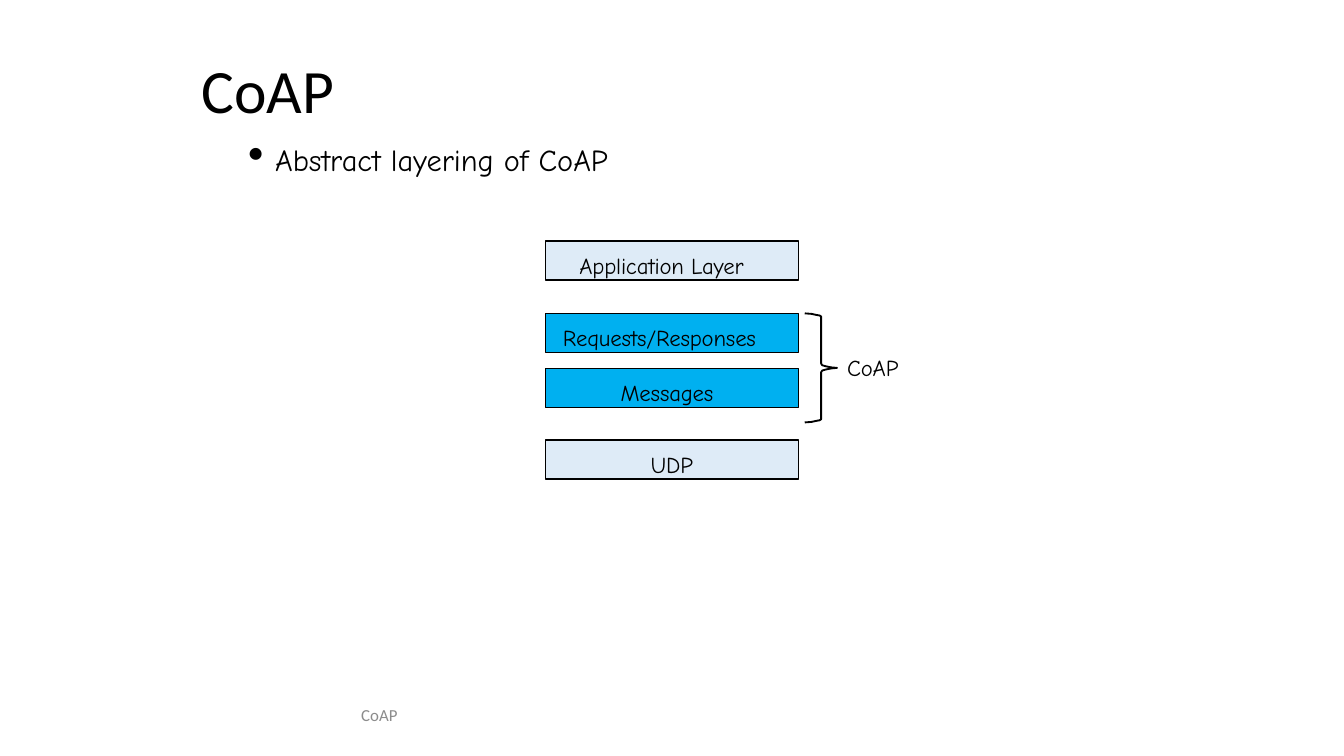
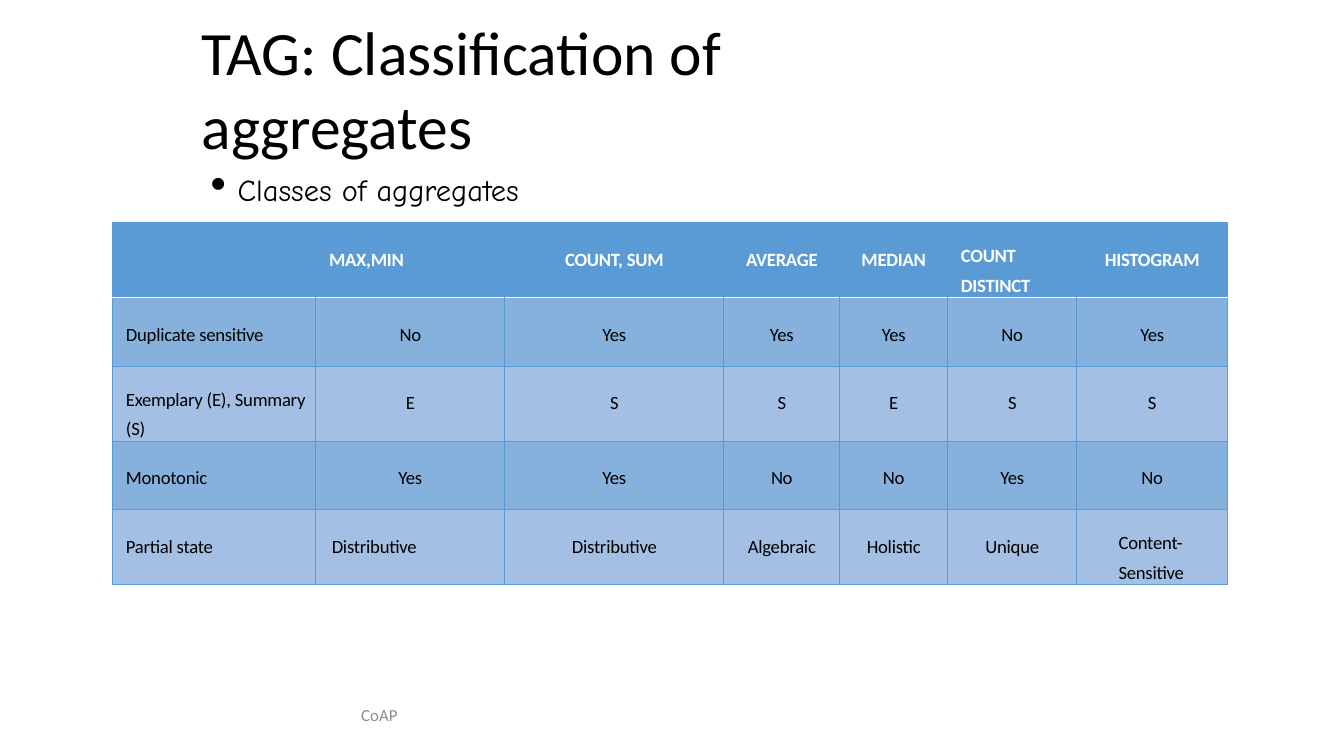
from pptx import Presentation
from pptx.dml.color import RGBColor
from pptx.enum.shapes import MSO_SHAPE
from pptx.enum.text import MSO_ANCHOR, MSO_AUTO_SIZE, PP_ALIGN
from pptx.oxml.ns import qn
from pptx.util import Cm, Pt
from lxml import etree

LEFT = PP_ALIGN.LEFT
CENTER = PP_ALIGN.CENTER
TOP = MSO_ANCHOR.TOP
MIDDLE = MSO_ANCHOR.MIDDLE
NO_AUTOFIT = MSO_AUTO_SIZE.NONE
RECTANGLE = MSO_SHAPE.RECTANGLE
TITLE_ONLY = 5

COLORS = {
    "text": "000000",
    "footer": "8C8C8C",
    "pale": "DEEBF7",
    "bright": "00B0F0",
    "header": "5B9BD5",
    "white": "FFFFFF",
    "band_dark": "86B1DD",
    "band_light": "A3C0E4",
}
BODY_FONT = "Calibri"
HAND_FONT = "Comic Neue"

LAYERS = [
    ("Application Layer", 0, "pale", 0.64),
    ("Requests/Responses", 1.37, "bright", 0.33),
    ("Messages", 2.41, "bright", 1.42),
    ("UDP", 3.76, "pale", None),
]
BRACE_HALF = [
    (0, 0), (0.13, 0.01), (0.22, 0.03), (0.28, 0.04), (0.31, 0.06),
    (0.31, 0.95), (0.33, 0.98), (0.4, 1), (0.5, 1.02), (0.61, 1.03),
]
BRACE_HEIGHT = 2.06

AGGREGATES = [
    ["", "MAX,MIN", "COUNT, SUM", "AVERAGE", "MEDIAN", "COUNT DISTINCT", "HISTOGRAM"],
    ["Duplicate sensitive", "No", "Yes", "Yes", "Yes", "No", "Yes"],
    ["Exemplary (E), Summary (S)", "E", "S", "S", "E", "S", "S"],
    ["Monotonic", "Yes", "Yes", "No", "No", "Yes", "No"],
    ["Partial state", "Distributive", "Distributive", "Algebraic", "Holistic",
     "Unique", "Content- Sensitive"],
]
COLUMN_WIDTHS = [3.84, 3.57, 4.14, 2.19, 2.04, 2.44, 2.85]
ROW_HEIGHTS = [1.41, 1.3, 1.41, 1.3, 1.41]
CELL_INDENTS = {(0, 1): 0.25, (0, 5): 0.25, (4, 1): 0.3, (4, 6): 0.79}
TWO_LINE_CELLS = {(0, 5), (2, 0), (4, 6)}


def color(name):
    return RGBColor.from_string(COLORS[name])


def write_text(frame, text, font=HAND_FONT, size=12.2, ink="text", bold=False,
               align=LEFT, indent=0.0, hanging=0.0, bullet=None,
               line_points=None, spacing=0.0):
    frame.word_wrap = True
    paragraph = frame.paragraphs[0]
    paragraph.alignment = align
    paragraph.space_before = Pt(0)
    if line_points:
        paragraph.line_spacing = Pt(line_points)
    properties = paragraph._p.get_or_add_pPr()
    properties.set("marL", str(Cm(indent)))
    properties.set("indent", str(Cm(hanging)))
    if bullet:
        etree.SubElement(properties, qn("a:buSzPct")).set("val", "150000")
        etree.SubElement(properties, qn("a:buChar")).set("char", bullet)
        tabs = etree.SubElement(properties, qn("a:tabLst"))
        etree.SubElement(tabs, qn("a:tab"), pos=str(Cm(indent)), algn="l")
    run = paragraph.add_run()
    run.text = text
    run.font.name = font
    run.font.size = Pt(size)
    run.font.bold = bold
    run.font.color.rgb = color(ink)
    if spacing:
        run._r.get_or_add_rPr().set("spc", str(round(spacing * 100)))


def set_frame(frame, top_inset, anchor=TOP):
    frame.auto_size = NO_AUTOFIT
    frame.vertical_anchor = anchor
    frame.margin_left = frame.margin_right = frame.margin_bottom = 0
    frame.margin_top = Cm(top_inset)


def add_label(slide, text, left, top, width, height, inset=0.03, anchor=TOP, **style):
    box = slide.shapes.add_textbox(Cm(left), Cm(top), Cm(width), Cm(height))
    set_frame(box.text_frame, inset, anchor)
    write_text(box.text_frame, text, **style)


def add_bullet(slide, text, left, top, width):
    add_label(slide, text, left, top, width, 0.71, size=16.3,
              indent=0.53, hanging=-0.51, bullet="•")


def start_slide(presentation, title, top, height):
    slide = presentation.slides.add_slide(presentation.slide_layouts[TITLE_ONLY])
    shape = slide.shapes.title
    shape.left, shape.top = Cm(3.78), Cm(top)
    shape.width, shape.height = Cm(14.91), Cm(height)
    set_frame(shape.text_frame, 0.43, MIDDLE)
    write_text(shape.text_frame, title, font=BODY_FONT, size=33, indent=0.03)
    add_label(slide, "CoAP", 4.67, 13.08, 5, 0.81, inset=0.05, anchor=MIDDLE,
              font=BODY_FONT, size=9, ink="footer", align=CENTER)
    return slide


def add_layer(slide, text, left, top, fill, indent):
    shape = slide.shapes.add_shape(RECTANGLE, Cm(left), Cm(top), Cm(4.78), Cm(0.74))
    shape.shadow.inherit = False
    shape.fill.solid()
    shape.fill.fore_color.rgb = color(fill)
    shape.line.color.rgb = color("text")
    shape.line.width = Pt(0.75)
    set_frame(shape.text_frame, 0.2)
    write_text(shape.text_frame, text, align=CENTER if indent is None else LEFT,
               indent=indent or 0, spacing=-0.1)


def add_brace(slide, left, top):
    lower_half = [(x, BRACE_HEIGHT - y) for x, y in reversed(BRACE_HALF[:-1])]
    points = [(Cm(x), Cm(y)) for x, y in BRACE_HALF + lower_half]
    builder = slide.shapes.build_freeform(*points[0])
    builder.add_line_segments(points[1:], close=False)
    brace = builder.convert_to_shape(Cm(left), Cm(top))
    brace.shadow.inherit = False
    brace.fill.background()
    brace.line.color.rgb = color("text")
    brace.line.width = Pt(1)


def add_layer_stack(slide, left, top):
    for text, offset, fill, indent in LAYERS:
        add_layer(slide, text, left, top + offset, fill, indent)
    brace_top = top + LAYERS[1][1]
    add_brace(slide, left + 4.9, brace_top)
    add_label(slide, "CoAP", left + 5.67, brace_top + 0.73, 1.07, 0.56,
              indent=0.03, spacing=-0.1)


def set_border(cell, side, name, points):
    properties = cell._tc.get_or_add_tcPr()
    line = etree.SubElement(properties, qn(f"a:ln{side}"), w=str(Pt(points)))
    if name is None:
        etree.SubElement(line, qn("a:noFill"))
    else:
        fill = etree.SubElement(line, qn("a:solidFill"))
        etree.SubElement(fill, qn("a:srgbClr"), val=COLORS[name])


def format_cell(cell, text, row, column):
    is_header = row == 0
    last_column = len(COLUMN_WIDTHS) - 1
    for side, outer in (("L", column == 0), ("R", column == last_column)):
        set_border(cell, side, "header" if outer or not is_header else None, 0.5)
    set_border(cell, "T", *(("white", 1) if row == 1 else ("header", 0.5)))
    set_border(cell, "B", *(("white", 1) if is_header else ("header", 0.5)))
    cell.fill.solid()
    band = "band_dark" if row % 2 else "band_light"
    cell.fill.fore_color.rgb = color("header" if is_header else band)
    cell.margin_left = cell.margin_right = cell.margin_bottom = 0
    two_lines = (row, column) in TWO_LINE_CELLS
    cell.margin_top = Cm(0.28 if two_lines else 0.49)
    if text:
        indent = CELL_INDENTS.get((row, column), 0 if column else 0.25)
        write_text(cell.text_frame, text, font=BODY_FONT, size=10, bold=is_header,
                   ink="white" if is_header else "text",
                   align=LEFT if indent else CENTER, indent=indent,
                   line_points=16 if two_lines else None, spacing=-0.1)


def add_aggregate_table(slide, left, top):
    table = slide.shapes.add_table(
        len(ROW_HEIGHTS), len(COLUMN_WIDTHS), Cm(left), Cm(top),
        Cm(sum(COLUMN_WIDTHS)), Cm(sum(ROW_HEIGHTS))).table
    table.horz_banding = False
    for column, width in zip(table.columns, COLUMN_WIDTHS):
        column.width = Cm(width)
    for row, height in zip(table.rows, ROW_HEIGHTS):
        row.height = Cm(height)
    for row, texts in enumerate(AGGREGATES):
        for column, text in enumerate(texts):
            format_cell(table.cell(row, column), text, row, column)


def build_layering_slide(presentation):
    slide = start_slide(presentation, "CoAP", 0.53, 1.85)
    add_bullet(slide, "Abstract layering of CoAP", 4.67, 2.64, 7.59)
    add_layer_stack(slide, 10.31, 4.55)


def build_aggregates_slide(presentation):
    slide = start_slide(presentation, "TAG: Classification of aggregates", -0.18, 3.25)
    add_bullet(slide, "Classes of aggregates", 3.96, 3.2, 6.43)
    add_aggregate_table(slide, 2.13, 4.21)


def main():
    presentation = Presentation()
    presentation.slide_width = Cm(25.4)
    presentation.slide_height = Cm(14.28)
    build_layering_slide(presentation)
    build_aggregates_slide(presentation)
    presentation.save("out.pptx")


if __name__ == "__main__":
    main()
